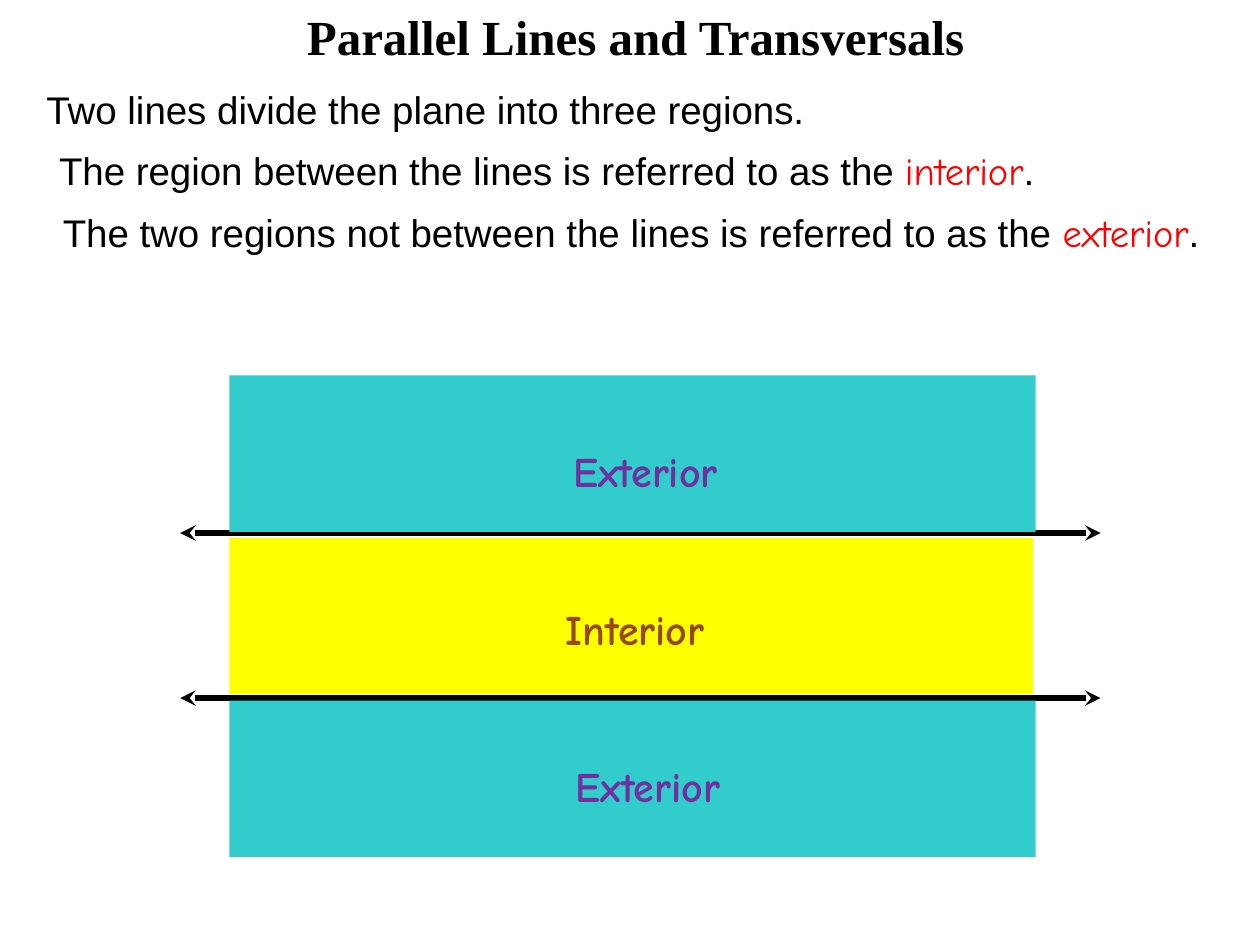
from pptx import Presentation
from pptx.dml.color import RGBColor
from pptx.enum.shapes import MSO_CONNECTOR, MSO_SHAPE
from pptx.enum.text import MSO_AUTO_SIZE, PP_ALIGN
from pptx.oxml.xmlchemy import OxmlElement
from pptx.util import Inches, Pt

WIDTH, HEIGHT = Inches(10), Inches(7.5)
BLACK, RED, TEAL, YELLOW = "000000", "FF0000", "33CCCC", "FFFF00"
PURPLE, BROWN = "7030A0", "984807"
SERIF, SANS, HAND = "Times New Roman", "Arial", "Comic Neue"


def across(percent):
    """Return a share of the slide's width."""
    return round(WIDTH * percent / 100)


def down(percent):
    """Return a share of the slide's height."""
    return round(HEIGHT * percent / 100)


def color(hex_value):
    """Return the colour for a hex string."""
    return RGBColor.from_string(hex_value)


def add_text(slide, left, top, width, height, pieces, size, bold=False, align=PP_ALIGN.LEFT):
    """Add one unwrapped line made of (wording, typeface, colour) pieces."""
    frame = slide.shapes.add_textbox(
        across(left), down(top), across(width), down(height)
    ).text_frame
    frame.word_wrap = False
    frame.auto_size = MSO_AUTO_SIZE.SHAPE_TO_FIT_TEXT
    sentence = frame.paragraphs[0]
    sentence.alignment = align
    for wording, typeface, tint in pieces:
        run = sentence.add_run()
        run.text = wording
        run.font.name = typeface
        run.font.size = Pt(size)
        run.font.bold = bold
        run.font.color.rgb = color(tint)


def add_definition(slide, row, left, width, wording, term=None):
    """Add a sentence on its row, ending in a highlighted term if given."""
    pieces = [(wording, SANS, BLACK)]
    if term:
        pieces += [(term, HAND, RED), (".", SANS, BLACK)]
    add_text(slide, left, 8.4 + 6.53 * row, width, 6.27, pieces, 22)


def add_region(slide, row, width, fill):
    """Add one coloured band of the plane."""
    region = slide.shapes.add_shape(
        MSO_SHAPE.RECTANGLE, across(18.2), down(39.73 + 17.2 * row), across(width), down(16.55)
    )
    region.shadow.inherit = False
    region.fill.solid()
    region.fill.fore_color.rgb = color(fill)
    region.line.fill.background()


def add_parallel(slide, level):
    """Add a horizontal line with a stealth arrowhead at each end."""
    parallel = slide.shapes.add_connector(
        MSO_CONNECTOR.STRAIGHT, across(14.3), down(level), across(87.35), down(level)
    )
    parallel.line.width = Pt(3)
    parallel.line.color.rgb = color(BLACK)
    outline = parallel.line._get_or_add_ln()
    for end in ("a:headEnd", "a:tailEnd"):
        arrowhead = OxmlElement(end)
        arrowhead.set("type", "stealth")
        outline.append(arrowhead)
    parallel._element.spPr.append(OxmlElement("a:effectLst"))


def main():
    """Build the slide and save it."""
    deck = Presentation()
    deck.slide_width, deck.slide_height = WIDTH, HEIGHT
    slide = deck.slides.add_slide(deck.slide_layouts[6])

    title = [("Parallel Lines and Transversals", SERIF, BLACK)]
    add_text(slide, 23.2, 0, 54.5, 7.6, title, 28, True, PP_ALIGN.CENTER)
    for level in (56.4, 73.87):
        add_parallel(slide, level)

    definitions = [
        (2.7, 64, "Two lines divide the plane into three regions."),
        (3.7, 79.5, "The region between the lines is referred to as the ", "interior"),
        (4, 92.3, "The two regions not between the lines is referred to as the ", "exterior"),
    ]
    for row, definition in enumerate(definitions):
        add_definition(slide, row, *definition)

    regions = [
        (64, TEAL, "Exterior", PURPLE, 44.5, 13.5),
        (63.8, YELLOW, "Interior", BROWN, 43.9, 13.1),
        (64, TEAL, "Exterior", PURPLE, 44.7, 13.5),
    ]
    for row, (width, fill, label, tint, label_left, label_width) in enumerate(regions):
        add_region(slide, row, width, fill)
        label_top = 46.53 + 16.67 * row
        add_text(slide, label_left, label_top, label_width, 6.67, [(label, HAND, tint)], 24, True)

    deck.save("out.pptx")


if __name__ == "__main__":
    main()
